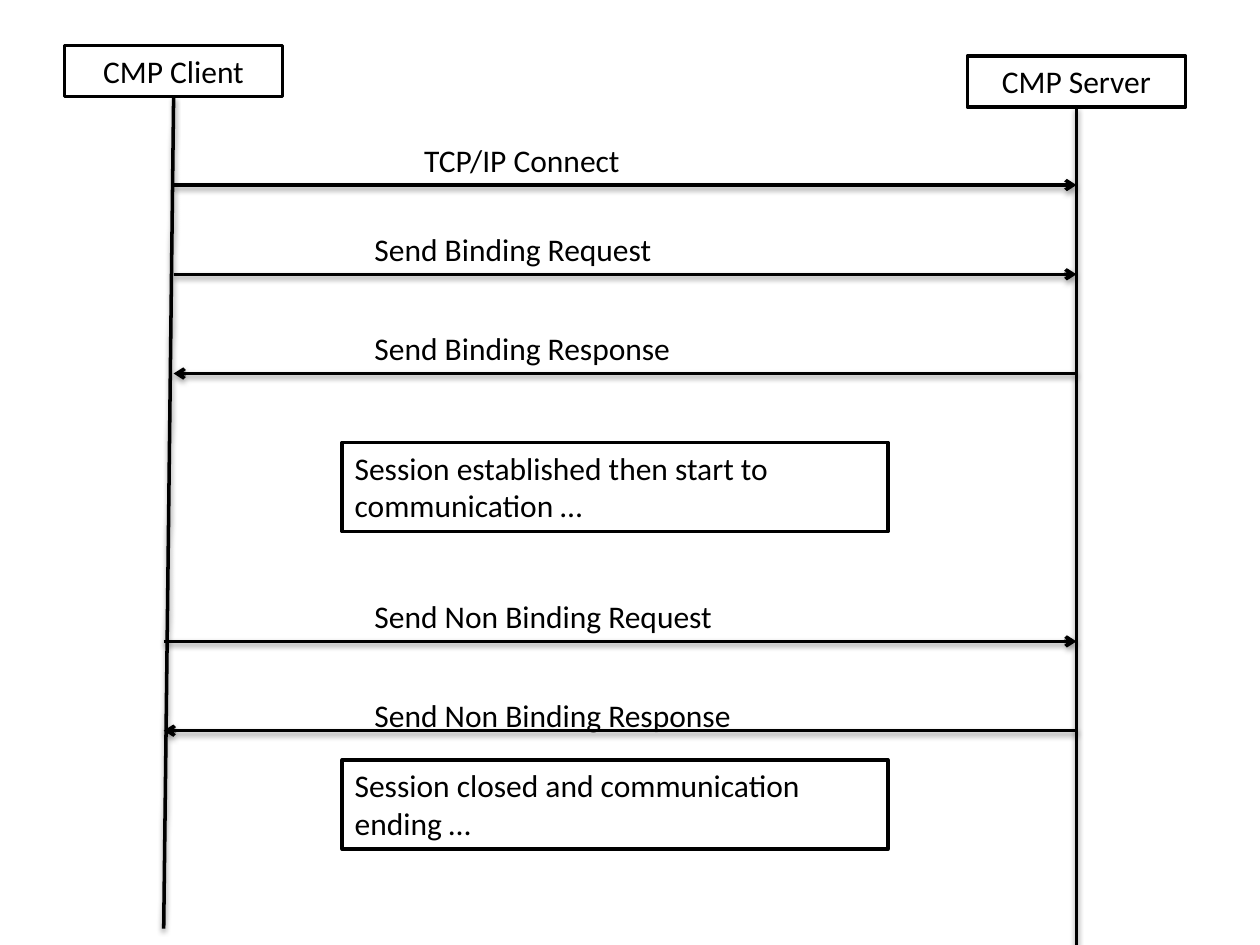
"""Build the CMP client and server sequence diagram slide."""
from lxml import etree
from pptx import Presentation
from pptx import util as u
from pptx.dml import color
from pptx.enum import shapes, text
from pptx.oxml import ns, parse_xml

COLORS = {"ink": "000000", "paper": "FFFFFF"}
SHADOW = (
    f'<a:effectLst {ns.nsdecls("a")}>'
    '<a:outerShdw blurRad="40000" dist="20000" dir="5400000" rotWithShape="0">'
    f'<a:srgbClr val="{COLORS["ink"]}"><a:alpha val="38000"/></a:srgbClr>'
    "</a:outerShdw></a:effectLst>"
)
CLIENT_X, CLIENT_END_X, SERVER_X = 3.5, 3.3, 21.7

prs = Presentation()
prs.slide_width, prs.slide_height = u.Cm(25.4), u.Cm(19.05)
s = prs.slides.add_slide(prs.slide_layouts[6])


def add_text(x, y, w, h, words, boxed=False, align=text.PP_ALIGN.LEFT):
    box = [u.Cm(v) for v in (x, y, w, h)]
    if boxed:
        sp = s.shapes.add_shape(shapes.MSO_SHAPE.RECTANGLE, *box)
        sp.shadow.inherit = False
        sp.fill.solid()
        sp.fill.fore_color.rgb = color.RGBColor.from_string(COLORS["paper"])
        sp.line.color.rgb = color.RGBColor.from_string(COLORS["ink"])
        sp.line.width = u.Pt(2)
    else:
        sp = s.shapes.add_textbox(*box)
    tf = sp.text_frame
    tf.text = words
    tf.word_wrap = True
    tf.auto_size = text.MSO_AUTO_SIZE.SHAPE_TO_FIT_TEXT
    tf.vertical_anchor = text.MSO_ANCHOR.TOP
    p = tf.paragraphs[0]
    p.alignment = align
    r = p.runs[0]
    r.font.name, r.font.size = "Calibri", u.Pt(18)
    r.font.color.rgb = color.RGBColor.from_string(COLORS["ink"])


def add_line(x1, y1, x2, y2, arrow=False):
    ends = [u.Cm(v) for v in (x1, y1, x2, y2)]
    cn = s.shapes.add_connector(shapes.MSO_CONNECTOR.STRAIGHT, *ends)
    cn.line.color.rgb = color.RGBColor.from_string(COLORS["ink"])
    cn.line.width = u.Pt(2)
    if arrow:
        ln = cn.line._get_or_add_ln()
        etree.SubElement(ln, ns.qn("a:tailEnd"), type="arrow")
    cn._element.spPr.append(parse_xml(SHADOW))


for x, y, name in [(1.3, 0.92, "CMP Client"), (19.5, 1.13, "CMP Server")]:
    add_text(x, y, 4.4, 1.03, name, boxed=True, align=text.PP_ALIGN.CENTER)

add_line(CLIENT_X, 1.95, CLIENT_END_X, 18.72)
add_line(SERVER_X, 2.16, SERVER_X, 19.05)

messages = [
    (CLIENT_X, SERVER_X, 3.73, 8.3, 2.71, 9.6, "TCP/IP Connect"),
    (CLIENT_X, SERVER_X, 5.53, 7.3, 4.51, 8.8, "Send Binding Request"),
    (SERVER_X, CLIENT_X, 7.53, 7.3, 6.51, 8.8, "Send Binding Response"),
    (CLIENT_END_X, SERVER_X, 12.93, 7.3, 11.91, 8.8, "Send Non Binding Request"),
    (SERVER_X, CLIENT_END_X, 14.73, 7.3, 13.9, 8.8, "Send Non Binding Response"),
]
for start, end, y, label_x, label_y, label_w, words in messages:
    add_line(start, y, end, y, arrow=True)
    add_text(label_x, label_y, label_w, 1.03, words)

notes = [
    (8.92, "Session established then start to communication …"),
    (15.32, "Session closed and communication ending …"),
]
for y, words in notes:
    add_text(6.9, y, 11, 1.8, words, boxed=True)

prs.save("out.pptx")
